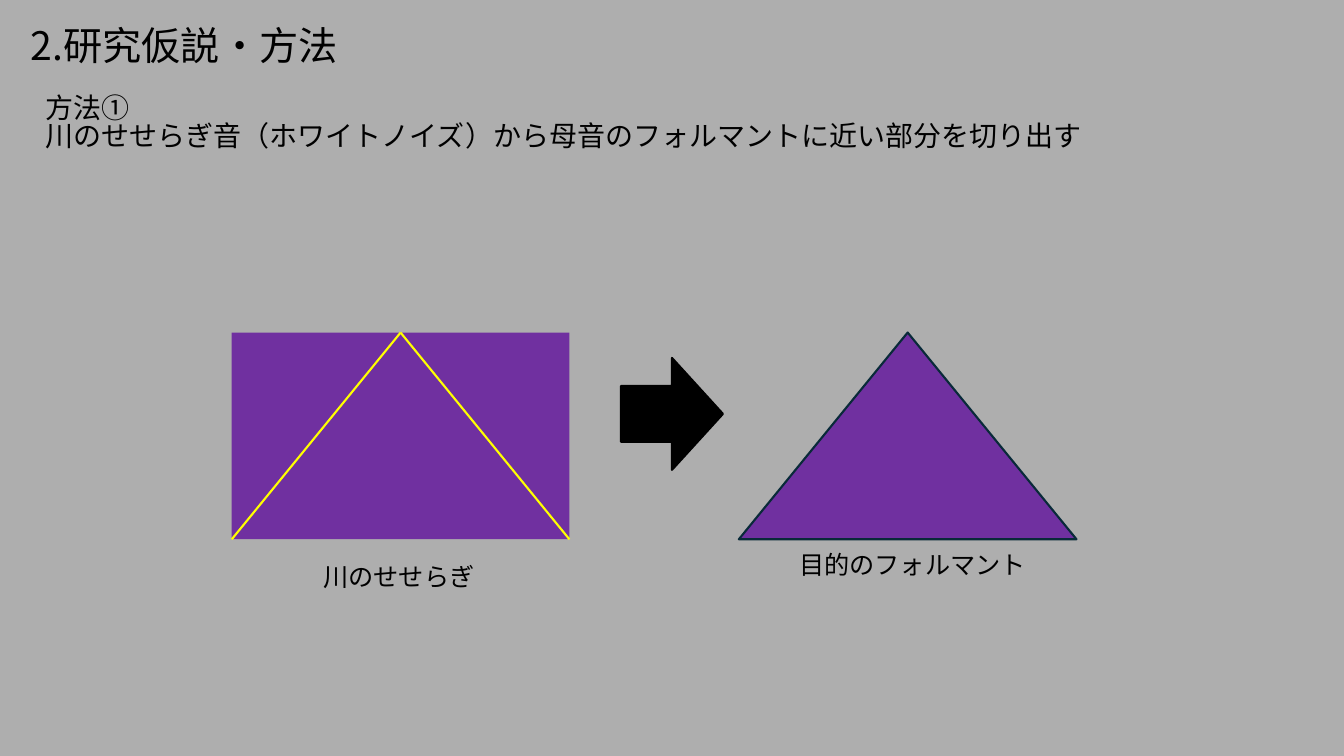
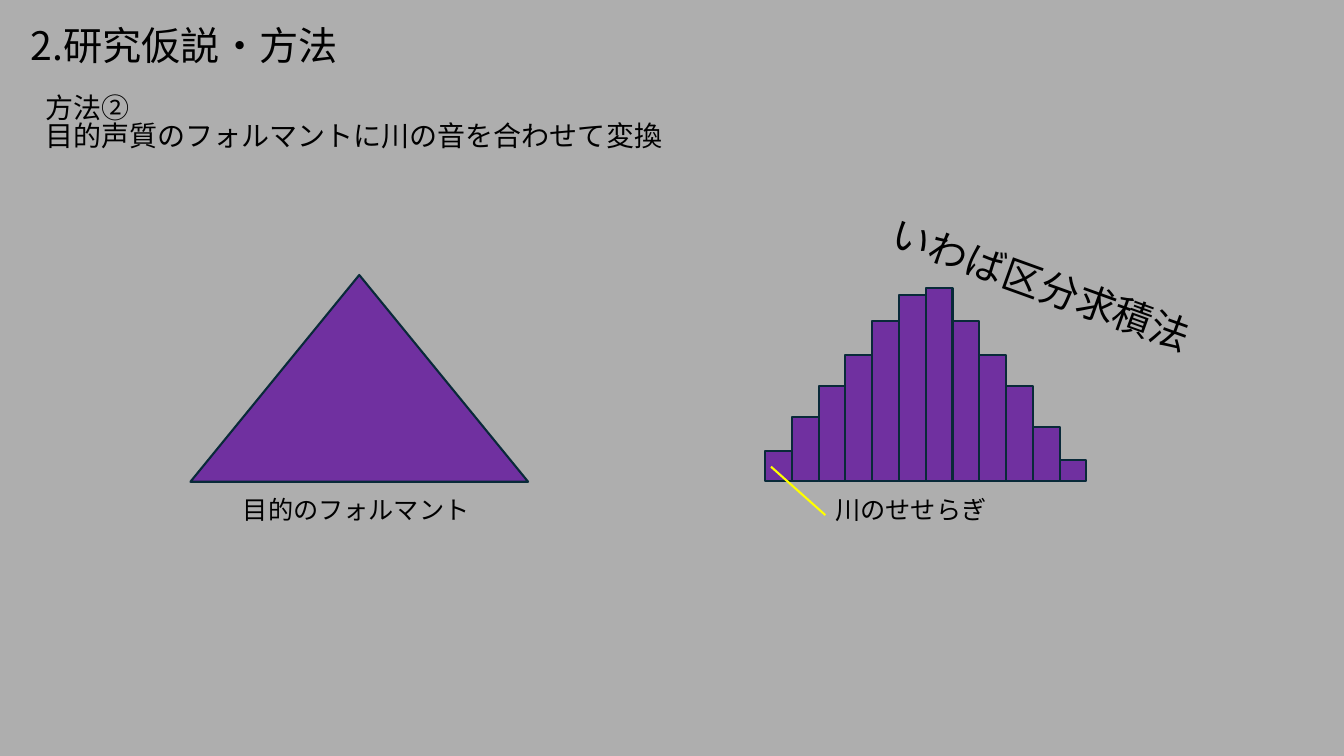
from pptx import Presentation
from pptx.dml.color import RGBColor
from pptx.enum.shapes import MSO_CONNECTOR, MSO_SHAPE
from pptx.oxml.ns import qn
from pptx.util import Cm, Pt
from lxml import etree

RECTANGLE = MSO_SHAPE.RECTANGLE
TRIANGLE = MSO_SHAPE.ISOSCELES_TRIANGLE
RIGHT_ARROW = MSO_SHAPE.RIGHT_ARROW
STRAIGHT = MSO_CONNECTOR.STRAIGHT
TOP_SIDE = 0

GRAY = RGBColor(0xAE, 0xAE, 0xAE)
BLACK = RGBColor(0x00, 0x00, 0x00)
PURPLE = RGBColor(0x70, 0x30, 0xA0)
NAVY = RGBColor(0x09, 0x2A, 0x39)
YELLOW = RGBColor(0xFF, 0xFF, 0x00)

FONT = "Noto Sans CJK JP"
LINE_SPACING = 0.83
LINE_WIDTH = Pt(1.5)

TITLE = "2.研究仮説・方法"
RIVER = "川のせせらぎ"
FORMANT = "目的のフォルマント"

# Size shared by the sound block and the formant triangle, in cm
FIGURE_WIDTH, FIGURE_HEIGHT = 8.51, 5.21

# Bars that approximate the triangle, in cm
BARS_LEFT, BARS_BASE, BARS_WIDTH = 19.28, 12.13, 8.1
BAR_HEIGHTS = [0.76, 1.62, 2.4, 3.18, 4.05, 4.69,
               4.88, 4.05, 3.18, 2.4, 1.36, 0.54]


def add_text(slide, text, left, top, width, height, size=18, rotation=0):
    """Add a text box; each line of the text becomes a paragraph."""
    box = slide.shapes.add_textbox(Cm(left), Cm(top), Cm(width), Cm(height))
    box.rotation = rotation
    frame = box.text_frame
    frame.word_wrap = True
    frame.text = text
    for paragraph in frame.paragraphs:
        paragraph.line_spacing = LINE_SPACING
        for run in paragraph.runs:
            run.font.size = Pt(size)
            run.font.name = FONT
            run.font.color.rgb = BLACK
            east_asian = etree.SubElement(run.font._element, qn("a:ea"))
            east_asian.set("typeface", FONT)
    return box


def add_figure(slide, kind, left, top, width, height, fill=PURPLE, line=NAVY):
    shape = slide.shapes.add_shape(kind, Cm(left), Cm(top), Cm(width), Cm(height))
    shape.shadow.inherit = False
    shape.fill.solid()
    shape.fill.fore_color.rgb = fill
    if line is None:
        shape.line.fill.background()
    else:
        shape.line.color.rgb = line
        shape.line.width = LINE_WIDTH
    return shape


def add_triangle(slide, left, top):
    return add_figure(slide, TRIANGLE, left, top, FIGURE_WIDTH, FIGURE_HEIGHT)


def add_yellow_line(slide, start_x, start_y, end_x, end_y):
    line = slide.shapes.add_connector(
        STRAIGHT, Cm(start_x), Cm(start_y), Cm(end_x), Cm(end_y))
    line.line.color.rgb = YELLOW
    line.line.width = LINE_WIDTH
    etree.SubElement(line._element.spPr, qn("a:effectLst"))
    return line


def add_method_slide(presentation, method):
    """Add a slide with the shared title and its method text."""
    slide = presentation.slides.add_slide(presentation.slide_layouts[6])
    add_text(slide, TITLE, 0.53, 0.61, 14.53, 1.45, size=28)
    add_text(slide, method, 0.89, 2.31, 28, 1.96, size=20)
    return slide


def add_cutting_slide(presentation):
    slide = add_method_slide(
        presentation,
        "方法①\n川のせせらぎ音（ホワイトノイズ）から母音のフォルマントに近い部分を切り出す")

    # Sound block with the part to cut out
    left, top = 5.84, 8.38
    bottom = top + FIGURE_HEIGHT
    block = add_figure(slide, RECTANGLE, left, top, FIGURE_WIDTH, FIGURE_HEIGHT,
                       line=None)
    for corner in (left, left + FIGURE_WIDTH):
        edge = add_yellow_line(slide, corner, bottom, left + FIGURE_WIDTH / 2, top)
        edge.end_connect(block, TOP_SIDE)

    # Resulting formant
    add_triangle(slide, 18.62, top)
    add_figure(slide, RIGHT_ARROW, 15.65, 9.02, 2.57, 2.82, fill=BLACK, line=BLACK)
    add_text(slide, FORMANT, 19.89, 13.84, 6.6, 1.02)
    add_text(slide, RIVER, 7.9, 14.15, 4.6, 1.02)


def add_fitting_slide(presentation):
    slide = add_method_slide(
        presentation, "方法②\n目的声質のフォルマントに川の音を合わせて変換")

    # Target formant
    add_triangle(slide, 4.8, 6.93)
    add_text(slide, FORMANT, 5.87, 12.45, 6.6, 1.02)

    # Bars of river sound
    bar_width = BARS_WIDTH / len(BAR_HEIGHTS)
    for index, height in enumerate(BAR_HEIGHTS):
        add_figure(slide, RECTANGLE, BARS_LEFT + index * bar_width,
                   BARS_BASE - height, bar_width, height)
    add_yellow_line(slide, 19.43, 11.76, 20.8, 12.98)
    add_text(slide, RIVER, 20.8, 12.47, 5.72, 1.02)
    add_text(slide, "いわば区分求積法", 21.95, 6.81, 9.53, 1.45,
             size=28, rotation=19.8)


def main():
    presentation = Presentation()
    presentation.slide_width = Cm(33.87)
    presentation.slide_height = Cm(19.05)
    background = presentation.slide_master.background.fill
    background.solid()
    background.fore_color.rgb = GRAY
    add_cutting_slide(presentation)
    add_fitting_slide(presentation)
    presentation.save("out.pptx")


if __name__ == "__main__":
    main()
